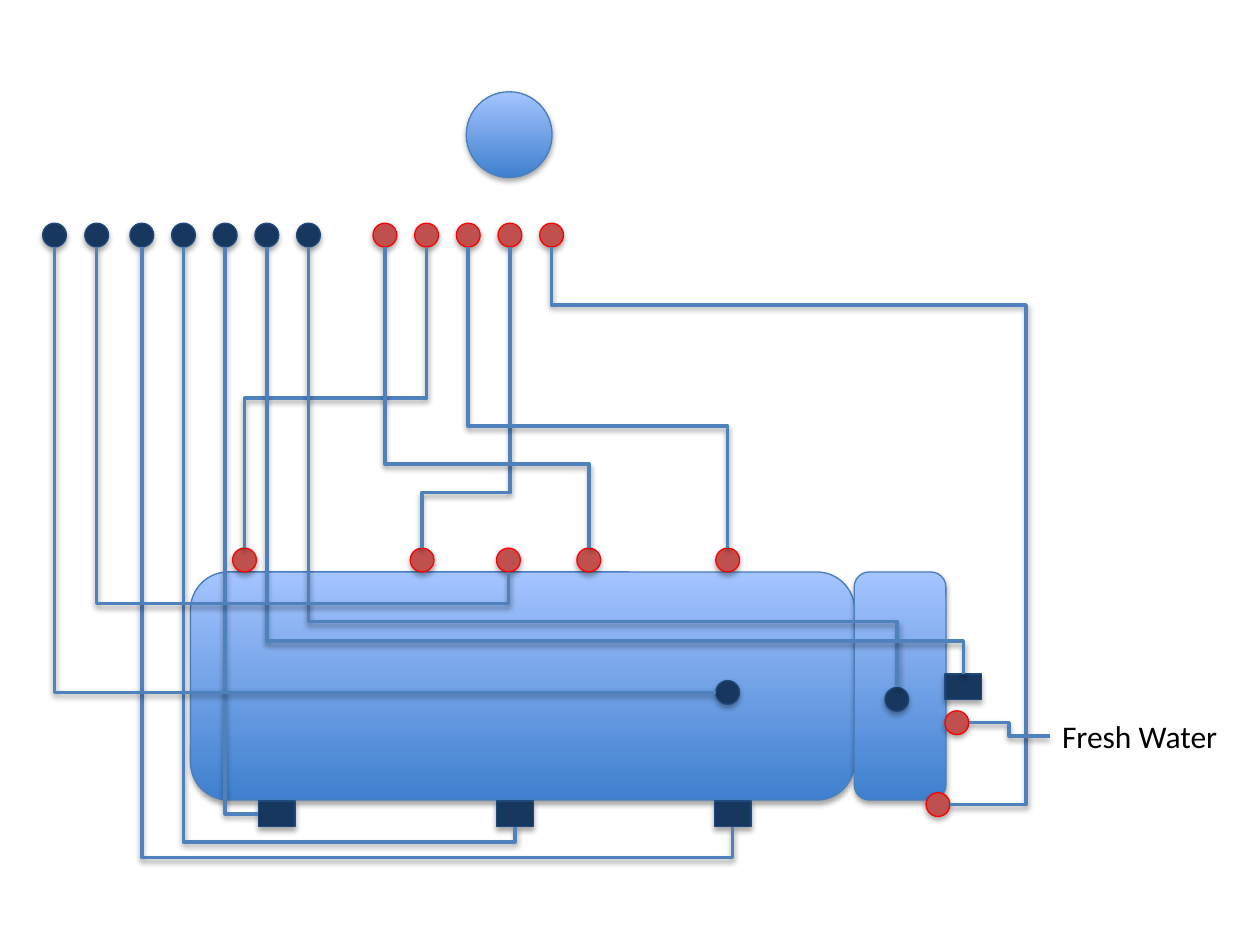
from dataclasses import dataclass
from typing import Optional

import pptx
import pptx.dml.color
import pptx.enum.dml
import pptx.enum.shapes
import pptx.enum.text
import pptx.oxml.ns
import pptx.util
from lxml import etree

Cm = pptx.util.Cm
Pt = pptx.util.Pt
qn = pptx.oxml.ns.qn
Kind = pptx.enum.shapes.MSO_SHAPE

COLOURS = {
    "tank_bottom": "3F80CE", "tank_top": "A4C4FF", "tank_edge": "4B7EBC",
    "red": "C0504D", "red_edge": "FF0000",
    "navy": "17375E", "navy_edge": "1F497D",
    "pipe": "4F81BD", "shadow": "000000", "text": "000000",
}
DOT = 0.48
HEADER_Y = 4.74
PIPE_Y = HEADER_Y + DOT / 2
OUTLET_Y = 11.29
OUTLET_TOP = OUTLET_Y - DOT / 2
TANK_TOP, TANK_HEIGHT = 11.53, 4.6
FITTING_WIDTH, FITTING_HEIGHT = 0.74, 0.52
FITTING_Y = 16.15
FITTING_BOTTOM = FITTING_Y + FITTING_HEIGHT
RED_X = [7.76 + 0.84 * i for i in range(5)]
NAVY_X = [1.1, 1.95] + [2.86 + 0.84 * i for i in range(5)]
OUTLET_X = [4.93, 8.51, 10.25, 11.87, 14.67]
FITTING_X = [5.21, 10.01, 14.4]


@dataclass
class Part:
    kind: int
    left: float
    top: float
    width: float
    height: float
    paint: str


@dataclass
class Pipe:
    start: tuple[float, float]
    end: tuple[float, float]
    level: Optional[float] = None
    reach: Optional[float] = None


def rgb(name: str) -> pptx.dml.color.RGBColor:
    return pptx.dml.color.RGBColor.from_string(COLOURS[name])


def dot(x: float, y: float, paint: str) -> Part:
    return Part(Kind.OVAL, x - DOT / 2, y - DOT / 2, DOT, DOT, paint)


def fitting(left: float, top: float) -> Part:
    return Part(Kind.RECTANGLE, left, top, FITTING_WIDTH, FITTING_HEIGHT, "navy")


def add_shadow(properties, distance: int, opacity: int) -> None:
    effects = properties.find(qn("a:effectLst"))
    if effects is None:
        effects = etree.SubElement(properties, qn("a:effectLst"))
    outer = etree.SubElement(effects, qn("a:outerShdw"), blurRad="40000",
                             dist=str(distance), dir="5400000", rotWithShape="0")
    colour = etree.SubElement(outer, qn("a:srgbClr"), val=COLOURS["shadow"])
    etree.SubElement(colour, qn("a:alpha"), val=str(opacity * 1000))


def draw_part(slide, part: Part) -> None:
    body = slide.shapes.add_shape(part.kind, Cm(part.left), Cm(part.top),
                                  Cm(part.width), Cm(part.height))
    if part.paint == "tank":
        body.fill.gradient()
        body.fill.gradient_angle = 90
        for stop, name, position in zip(body.fill.gradient_stops,
                                        ("tank_bottom", "tank_top"), (0, 1)):
            stop.color.rgb = rgb(name)
            stop.position = position
    else:
        body.fill.solid()
        body.fill.fore_color.rgb = rgb(part.paint)
    body.line.color.rgb = rgb(part.paint + "_edge")
    body.line.width = Pt(0.75)
    body.shadow.inherit = False
    add_shadow(body._element.spPr, 23000, 35)


def draw_pipe(slide, pipe: Pipe, sideways: bool = False) -> None:
    (x1, y1), (x2, y2) = pipe.start, pipe.end
    run, drop = abs(x2 - x1), abs(y2 - y1)
    width, height = (run, drop) if sideways else (drop, run)
    left, top = (x1 + x2 - width) / 2, (y1 + y2 - height) / 2
    line = slide.shapes.add_connector(
        pptx.enum.shapes.MSO_CONNECTOR.ELBOW,
        Cm(left), Cm(top), Cm(left + width), Cm(top + height))
    line.line.color.rgb = rgb("pipe")
    line.line.width = Pt(2)
    properties = line._element.spPr
    if not sideways:
        frame = properties.find(qn("a:xfrm"))
        frame.set("rot", str((270 if x2 > x1 else 90) * 60000))
        if x2 > x1:
            frame.set("flipH", "1")
    bends = []
    if sideways:
        bends.append(0.5)
    elif pipe.level is not None:
        bends.append((pipe.level - y1) / (y2 - y1))
    if pipe.reach is not None:
        bends.append((pipe.reach - x1) / (x2 - x1))
    geometry = properties.find(qn("a:prstGeom"))
    geometry.set("prst", f"bentConnector{len(bends) + 2}")
    guides = geometry.find(qn("a:avLst"))
    for number, bend in enumerate(bends, 1):
        etree.SubElement(guides, qn("a:gd"), name=f"adj{number}",
                         fmla=f"val {round(bend * 100000)}")
    add_shadow(properties, 20000, 38)


def add_text(slide, text: str, *, left: float, top: float, width: float,
             height: float, size: float, font: str, colour: str) -> None:
    label = slide.shapes.add_textbox(Cm(left), Cm(top), Cm(width), Cm(height))
    label.text_frame.word_wrap = False
    label.text_frame.auto_size = pptx.enum.text.MSO_AUTO_SIZE.SHAPE_TO_FIT_TEXT
    run = label.text_frame.paragraphs[0].add_run()
    run.text = text
    run.font.size = Pt(size)
    run.font.name = font
    run.font.color.rgb = rgb(colour)


PARTS = [
    Part(Kind.ROUNDED_RECTANGLE, 3.84, TANK_TOP, 13.39, TANK_HEIGHT, "tank"),
    Part(Kind.ROUNDED_RECTANGLE, 17.22, TANK_TOP, 1.85, TANK_HEIGHT, "tank"),
    *[dot(x, OUTLET_Y, "red") for x in OUTLET_X],
    dot(14.67, 13.96, "navy"),
    dot(18.08, 14.1, "navy"),
    dot(19.29, 14.57, "red"),
    *[fitting(x, FITTING_Y) for x in FITTING_X],
    fitting(19.05, 13.59),
    dot(18.91, 16.22, "red"),
    Part(Kind.OVAL, 9.4, 1.85, 1.73, 1.73, "tank"),
    *[dot(x, HEADER_Y, "red") for x in RED_X],
    *[dot(x, HEADER_Y, "navy") for x in NAVY_X],
]
PIPES = [
    Pipe((RED_X[4], PIPE_Y), (19.15, 16.22), 6.15, 20.68),
    Pipe((RED_X[3], PIPE_Y), (OUTLET_X[1], OUTLET_TOP), 9.93),
    Pipe((RED_X[2], PIPE_Y), (OUTLET_X[4], OUTLET_TOP), 8.59),
    Pipe((RED_X[1], PIPE_Y), (OUTLET_X[0], OUTLET_TOP), 8.02),
    Pipe((RED_X[0], PIPE_Y), (OUTLET_X[3], OUTLET_TOP), 9.35),
    Pipe((NAVY_X[6], PIPE_Y), (18.08, 13.86), 12.53),
    Pipe((NAVY_X[5], PIPE_Y), (19.42, 13.59), 12.93),
    Pipe((NAVY_X[4], PIPE_Y), (FITTING_X[0], FITTING_Y + FITTING_HEIGHT / 2)),
    Pipe((NAVY_X[3], PIPE_Y), (FITTING_X[1] + FITTING_WIDTH / 2, FITTING_BOTTOM), 16.97),
    Pipe((NAVY_X[2], PIPE_Y), (FITTING_X[2] + FITTING_WIDTH / 2, FITTING_BOTTOM), 17.29),
    Pipe((NAVY_X[1], PIPE_Y), (OUTLET_X[2], TANK_TOP), 12.17),
    Pipe((NAVY_X[0], PIPE_Y), (14.43, 13.96)),
]

presentation = pptx.Presentation()
presentation.slide_width = Cm(25.4)
presentation.slide_height = Cm(19.05)
diagram = presentation.slides.add_slide(presentation.slide_layouts[6])
for part in PARTS:
    draw_part(diagram, part)
for pipe in PIPES[:5]:
    draw_pipe(diagram, pipe)
add_text(diagram, "Fresh Water", left=21.16, top=14.33, width=3.71, height=1.03,
         size=18, font="Calibri", colour="text")
draw_pipe(diagram, Pipe((19.53, 14.57), (21.16, 14.84)), sideways=True)
for pipe in PIPES[5:]:
    draw_pipe(diagram, pipe)
presentation.save("out.pptx")
